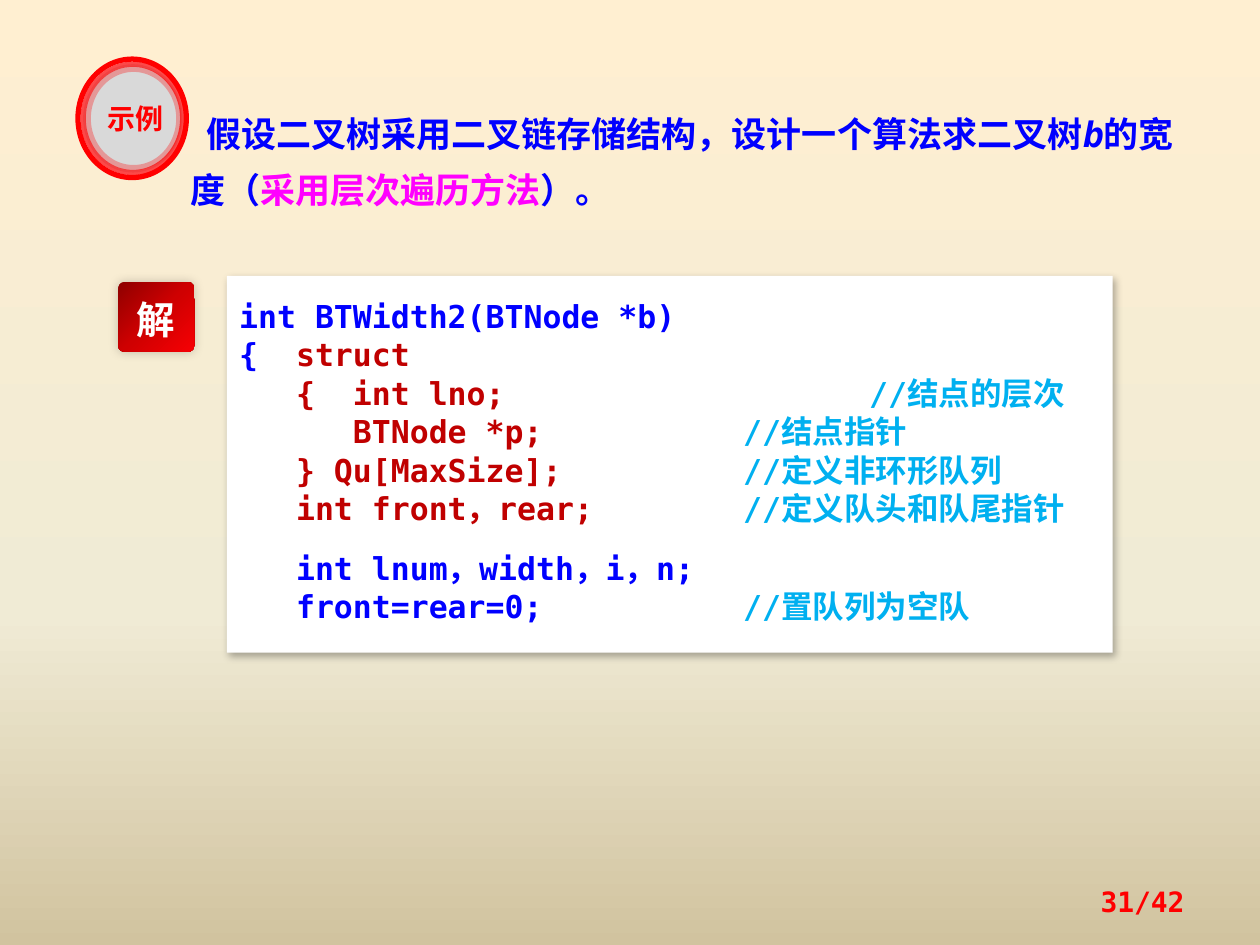
from dataclasses import dataclass
from typing import NamedTuple, Optional

from lxml.etree import SubElement
from pptx import Presentation
from pptx.dml.color import RGBColor
from pptx.enum.shapes import MSO_SHAPE as Shape
from pptx.enum.text import MSO_ANCHOR as Anchor, MSO_AUTO_SIZE as AutoSize, PP_ALIGN as Align
from pptx.oxml.ns import qn
from pptx.util import Pt


@dataclass(frozen=True)
class Theme:
    blue: str = "0000FF"
    dark_red: str = "C00000"
    red: str = "FF0000"
    cyan: str = "00B0F0"
    magenta: str = "FF00FF"
    white: str = "FFFFFF"
    backdrop: tuple = ((0, "FFEFD1"), (65, "F0EBD5"), (100, "D1C39F"))
    tile: tuple = ((0, "8F0000"), (50, "CF0001"), (100, "F60004"))
    mono: str = "DejaVu Sans Mono"
    sans: str = "Noto Sans CJK SC"
    statement_size: int = 20
    code_size: int = 18
    small_size: int = 16
    tile_size: int = 22


class Box(NamedTuple):
    left: float
    top: float
    width: float
    height: float

    def lengths(self) -> list:
        return [Pt(v) for v in self]


class Span(NamedTuple):
    text: str
    color: str
    italic: bool = False


class Ring(NamedTuple):
    box: Box
    fill: Optional[str]
    opacity: int


class CodeLine(NamedTuple):
    code: tuple
    comment: str = ""
    space_before: float = 0


T = Theme()

STATEMENT = (
    Span("假设二叉树采用二叉链存储结构，设计一个算法求二叉树", T.blue),
    Span("b", T.blue, True),
    Span("的宽度（", T.blue),
    Span("采用层次遍历方法", T.magenta),
    Span("）。", T.blue),
)
CODE = (
    CodeLine((Span("int BTWidth2(BTNode *b)", T.blue),)),
    CodeLine((Span("{  ", T.blue), Span("struct", T.dark_red))),
    CodeLine((Span("   {  int lno;\t\t\t", T.dark_red),), "//结点的层次"),
    CodeLine((Span("      BTNode *p;\t\t", T.dark_red),), "//结点指针"),
    CodeLine((Span("   } Qu[MaxSize];\t\t", T.dark_red),), "//定义非环形队列"),
    CodeLine((Span("   int front，rear;\t\t", T.dark_red),), "//定义队头和队尾指针"),
    CodeLine((Span("   int lnum，width，i，n;", T.blue),), space_before=12),
    CodeLine((Span("   front=rear=0;\t\t", T.blue),), "//置队列为空队"),
)
RINGS = (
    Ring(Box(44.6, 33.8, 61.9, 67.7), "F8F8F8", 100),
    Ring(Box(47.5, 36.7, 56.9, 61.9), "D9D9D9", 70),
    Ring(Box(50.4, 39.6, 51.8, 56.2), None, 30),
)


def set_gradient(fill, parent, stops: tuple, angle: int) -> None:
    """Give parent a linear gradient; the angle runs clockwise from the right."""
    fill.solid()
    solid = parent.find(qn("a:solidFill"))
    grad = SubElement(parent, qn("a:gradFill"), rotWithShape="1")
    parent.replace(solid, grad)
    stop_list = SubElement(grad, qn("a:gsLst"))
    for position, color in stops:
        gs = SubElement(stop_list, qn("a:gs"), pos=str(position * 1000))
        SubElement(gs, qn("a:srgbClr"), val=color)
    SubElement(grad, qn("a:lin"), ang=str(angle * 60000), scaled="0")


def set_shadow(sp, opacity: int, blur: float, distance: float, angle: int) -> None:
    effects = sp._element.spPr.find(qn("a:effectLst"))
    outer = SubElement(effects, qn("a:outerShdw"), blurRad=str(Pt(blur)),
                       dist=str(Pt(distance)), dir=str(angle * 60000), rotWithShape="0")
    color = SubElement(outer, qn("a:srgbClr"), val="000000")
    SubElement(color, qn("a:alpha"), val=str(opacity * 1000))


def add_spans(p, spans: tuple, size: float, font: str) -> None:
    for span in spans:
        r = p.add_run()
        r.text = span.text
        r.font.size, r.font.name = Pt(size), font
        r.font.bold, r.font.italic = True, span.italic
        r.font.color.rgb = RGBColor.from_string(span.color)
        SubElement(r._r.get_or_add_rPr(), qn("a:ea"), typeface=T.sans)


def add_plain_shape(slide, kind, box: Box):
    """Add a preset shape without line or shadow."""
    sp = slide.shapes.add_shape(kind, *box.lengths())
    sp.shadow.inherit = False
    sp.line.fill.background()
    return sp


def add_label(slide, box: Box, span: Span, font: str, align, spacing: float, anchor) -> None:
    tf = slide.shapes.add_textbox(*box.lengths()).text_frame
    tf.word_wrap, tf.vertical_anchor = True, anchor
    p = tf.paragraphs[0]
    p.alignment, p.line_spacing = align, spacing
    add_spans(p, (span,), T.small_size, font)


def add_statement(slide) -> None:
    title = slide.shapes.title
    title.left, title.top, title.width, title.height = Box(101.5, 52.6, 585.4, 72).lengths()
    tf = title.text_frame
    tf.vertical_anchor, tf.auto_size = Anchor.TOP, AutoSize.NONE
    p = tf.paragraphs[0]
    p.alignment, p.line_spacing = Align.LEFT, Pt(32)
    p._p.get_or_add_pPr().set("indent", str(Pt(9)))
    add_spans(p, STATEMENT, T.statement_size, T.mono)


def add_code(slide) -> None:
    sp = add_plain_shape(slide, Shape.RECTANGLE, Box(129.6, 157.7, 506.2, 215.3))
    sp.fill.solid()
    sp.fill.fore_color.rgb = RGBColor.from_string(T.white)
    set_shadow(sp, 30, 4.5, 2.6, 53)
    tf = sp.text_frame
    tf.word_wrap, tf.vertical_anchor = True, Anchor.TOP
    tf.margin_top, tf.margin_bottom = Pt(11.5), Pt(14.4)
    for i, line in enumerate(CODE):
        p = tf.add_paragraph() if i else tf.paragraphs[0]
        p.alignment, p.line_spacing = Align.LEFT, Pt(22)
        if line.space_before:
            p.space_before = Pt(line.space_before)
        add_tab_stops(p, 72, 5)
        comment = (Span(line.comment, T.cyan),) if line.comment else ()
        add_spans(p, line.code + comment, T.code_size, T.mono)


def add_tab_stops(p, step: float, count: int) -> None:
    tabs = SubElement(p._p.get_or_add_pPr(), qn("a:tabLst"))
    for n in range(1, count + 1):
        SubElement(tabs, qn("a:tab"), pos=str(Pt(n * step)), algn="l")


def add_ring(slide, ring: Ring) -> None:
    sp = add_plain_shape(slide, Shape.OVAL, ring.box)
    if ring.fill:
        sp.fill.solid()
        sp.fill.fore_color.rgb = RGBColor.from_string(ring.fill)
    else:
        sp.fill.background()
    sp.line.width = Pt(3)
    sp.line.color.rgb = RGBColor.from_string(T.red)
    if ring.opacity < 100:
        color = sp.line._ln.find(".//" + qn("a:srgbClr"))
        SubElement(color, qn("a:alpha"), val=str(ring.opacity * 1000))


def add_answer_tile(slide) -> None:
    sp = add_plain_shape(slide, Shape.ROUNDED_RECTANGLE, Box(67.7, 161.3, 43.2, 39.6))
    sp.adjustments[0] = 0.08
    set_gradient(sp.fill, sp._element.spPr, T.tile, 45)
    set_shadow(sp, 20, 6, 0, 225)
    tf = sp.text_frame
    tf.word_wrap, tf.vertical_anchor = False, Anchor.MIDDLE
    p = tf.paragraphs[0]
    p.alignment, p.line_spacing = Align.CENTER, 1.1
    add_spans(p, (Span("解", T.white),), T.tile_size, T.sans)


def main() -> None:
    prs = Presentation()
    prs.slide_width, prs.slide_height = Pt(720), Pt(540)
    slide = prs.slides.add_slide(prs.slide_layouts.get_by_name("Title Only"))
    fill = slide.background.fill
    set_gradient(fill, slide._element.cSld.find(".//" + qn("p:bgPr")), T.backdrop, 90)
    add_statement(slide)
    add_code(slide)
    for ring in RINGS:
        add_ring(slide, ring)
    add_label(slide, Box(51.1, 52.6, 52.6, 23), Span("示例", T.red),
              T.sans, Align.CENTER, 1.1, Anchor.TOP)
    add_answer_tile(slide)
    add_label(slide, Box(516.2, 500.4, 167.8, 28.8), Span("31/42", T.red),
              T.mono, Align.RIGHT, 1.0, Anchor.MIDDLE)
    prs.save("out.pptx")


if __name__ == "__main__":
    main()
